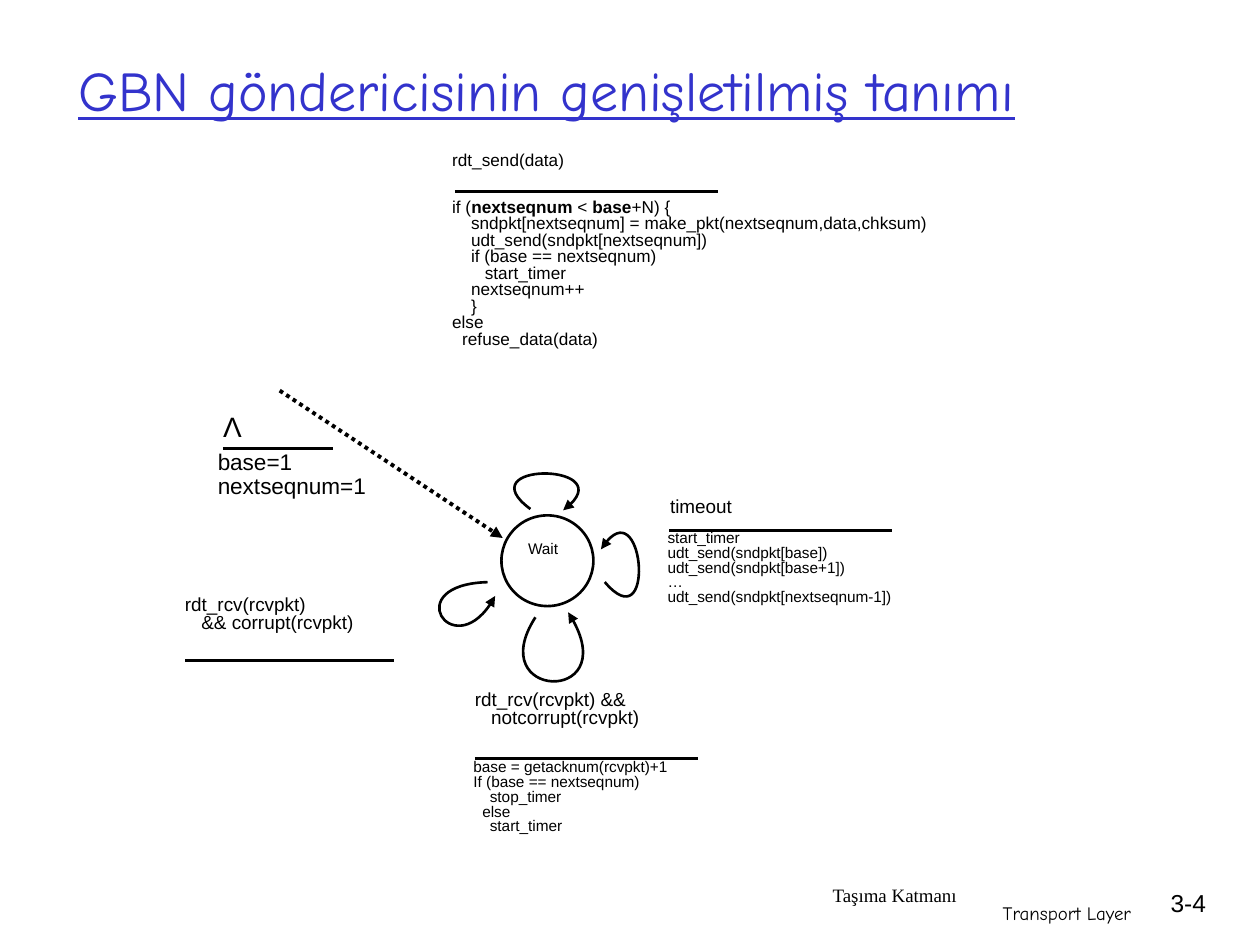
from dataclasses import dataclass

from lxml.etree import SubElement
from pptx import Presentation
from pptx.dml.color import RGBColor
from pptx.enum.dml import MSO_LINE
from pptx.enum.shapes import MSO_CONNECTOR, MSO_SHAPE
from pptx.enum.text import MSO_ANCHOR, MSO_AUTO_SIZE, PP_ALIGN
from pptx.oxml.ns import qn
from pptx.util import Inches, Pt


@dataclass(frozen=True)
class Theme:
    ink: RGBColor = RGBColor(0, 0, 0)
    paper: RGBColor = RGBColor(255, 255, 255)
    title: RGBColor = RGBColor(0x33, 0x33, 0xCC)
    sans: str = "Arial"
    hand: str = "Comic Neue"
    serif: str = "Times New Roman"
    title_size: float = 32
    symbol: float = 16
    page: float = 14
    start: float = 12.9
    event: float = 10.8
    code: float = 9.8
    small: float = 8.8
    thin: float = 1.5
    thick: float = 2.25


@dataclass(frozen=True)
class Line:
    text: str  # parts between asterisks are bold
    indent: float = 0  # inches
    font: str = ""


@dataclass(frozen=True)
class Label:
    box: tuple[float, float, float, float]
    lines: list[Line]
    size: float
    spacing: float = 0.8
    align: PP_ALIGN = PP_ALIGN.LEFT
    wrap: bool = True


@dataclass(frozen=True)
class Rule:
    start: tuple[float, float]
    length: float
    width: float


T = Theme()
STEP = 0.13

LABELS = [
    # Sending
    Label((3.49, 1.17, 2.55, 0.28), [Line("rdt_send(data)")], T.code),
    Label((3.49, 1.54, 6.04, 1.6), [
        Line("if (*nextseqnum* < *base*+N) {"),
        Line("sndpkt[nextseqnum] = make_pkt(nextseqnum,data,chksum)", 0.15),
        Line("udt_send(sndpkt[nextseqnum])", 0.15),
        Line("if (base == nextseqnum)", 0.15),
        Line("start_timer", 0.26),
        Line("nextseqnum++", 0.15),
        Line("}", 0.15),
        Line("else"),
        Line("refuse_data(data)", 0.08),
    ], T.code),
    # Initial transition
    Label((1.67, 3.2, 0.35, 0.37), [Line("Λ")], T.symbol, 1, PP_ALIGN.CENTER, False),
    Label((1.63, 3.53, 1.62, 0.55), [Line("base=1"), Line("nextseqnum=1")], T.start, 0.9),
    # Timeout
    Label((5.22, 3.91, 1.2, 0.3), [Line("timeout")], T.event),
    Label((5.2, 4.17, 3.04, 0.91), [
        Line("start_timer"),
        Line("udt_send(sndpkt[base])"),
        Line("udt_send(sndpkt[base+1])"),
        Line("…"),
        Line("udt_send(sndpkt[nextseqnum-1])"),
    ], T.small),
    # Corrupt packet
    Label((1.37, 4.69, 2.24, 0.49), [
        Line("rdt_rcv(rcvpkt)"), Line("&& corrupt(rcvpkt)", STEP)], T.event),
    # Good acknowledgement
    Label((3.67, 5.44, 3.1, 0.49), [
        Line("rdt_rcv(rcvpkt) &&"), Line("notcorrupt(rcvpkt)", STEP)], T.event),
    Label((3.66, 5.99, 4.03, 0.91), [
        Line("base = getacknum(rcvpkt)+1"),
        Line("If (base == nextseqnum)"),
        Line("stop_timer", STEP),
        Line("else", 0.07),
        Line("start_timer", STEP),
    ], T.small),
    # State name
    Label((3.87, 4.26, 0.88, 0.26), [Line("Wait")], T.small, align=PP_ALIGN.CENTER),
    # Footer and page number
    Label((5.92, 7, 3.17, 0.5), [
        Line("Taşıma Katmanı", 0.59, T.serif),
        Line("Transport Layer", 1.94, T.hand),
    ], T.event),
    Label((8.93, 7, 0.74, 0.5), [Line("3-4")], T.page, 1, PP_ALIGN.RIGHT),
]

RULES = [
    Rule((3.61, 1.52), 2.09, T.thick),
    Rule((1.77, 3.56), 0.87, T.thin),
    Rule((5.31, 4.21), 1.77, T.thin),
    Rule((1.47, 5.24), 1.66, T.thin),
    Rule((3.77, 6.02), 1.77, T.thick),
]

# Self-transitions: start, two control points, end
LOOPS = [
    [(4.21, 4.04), (3.71, 3.67), (4.98, 3.67), (4.47, 4.05)],
    [(4.8, 4.62), (5.2, 5.09), (5.11, 3.83), (4.77, 4.36)],
    [(4.25, 4.9), (3.83, 5.55), (4.99, 5.6), (4.51, 4.86)],
    [(3.87, 4.62), (3.17, 4.64), (3.62, 5.31), (3.93, 4.73)],
]


def style_line(sp, width: float, arrow: bool = False) -> None:
    sp.line.color.rgb = T.ink
    sp.line.width = Pt(width)
    if arrow:
        SubElement(sp.line._get_or_add_ln(), qn("a:tailEnd"), type="triangle")


def add_label(shapes, label: Label) -> None:
    tf = shapes.add_textbox(*map(Inches, label.box)).text_frame
    tf.word_wrap = label.wrap
    for i, line in enumerate(label.lines):
        p = tf.add_paragraph() if i else tf.paragraphs[0]
        p.alignment = label.align
        p.line_spacing = label.spacing
        if line.indent:
            p._p.get_or_add_pPr().set("marL", str(Inches(line.indent)))
        for j, part in enumerate(line.text.split("*")):
            r = p.add_run()
            r.text = part
            r.font.name = line.font or T.sans
            r.font.size = Pt(label.size)
            r.font.color.rgb = T.ink
            r.font.bold = j % 2 == 1


def add_line(shapes, start: tuple[float, float], end: tuple[float, float],
             width: float, arrow: bool = False):
    cxn = shapes.add_connector(MSO_CONNECTOR.STRAIGHT, *map(Inches, start + end))
    style_line(cxn, width, arrow)
    SubElement(cxn._element.spPr, qn("a:effectLst"))
    return cxn


def add_loop(shapes, points: list[tuple[float, float]]) -> None:
    pts = [(Inches(x), Inches(y)) for x, y in points]
    fb = shapes.build_freeform(*pts[0])
    fb.add_line_segments(pts[1:], close=False)
    sp = fb.convert_to_shape()
    # Turn the three segments into one Bézier curve
    outline = sp._element.spPr.find(".//" + qn("a:path"))
    segments = outline.findall(qn("a:lnTo"))
    curve = SubElement(outline, qn("a:cubicBezTo"))
    for seg in segments:
        curve.append(seg[0])
        outline.remove(seg)
    sp.fill.background()
    sp.shadow.inherit = False
    style_line(sp, T.thin, arrow=True)


def add_title(s, text: str) -> None:
    title = s.shapes.title
    title.left, title.top, title.width, title.height = map(Inches, (0.52, 0.32, 8.5, 0.77))
    tf = title.text_frame
    tf.text = text
    tf.auto_size = MSO_AUTO_SIZE.NONE
    tf.vertical_anchor = MSO_ANCHOR.MIDDLE
    p = tf.paragraphs[0]
    p.alignment = PP_ALIGN.LEFT
    font = p.runs[0].font
    font.name, font.size, font.underline = T.hand, Pt(T.title_size), True
    font.color.rgb = T.title


def main() -> None:
    prs = Presentation()
    prs.slide_width, prs.slide_height = Inches(10), Inches(7.5)
    s = prs.slides.add_slide(prs.slide_layouts[5])
    add_title(s, "GBN göndericisinin genişletilmiş tanımı")

    # Waiting state and its transitions
    state = s.shapes.add_shape(MSO_SHAPE.OVAL, *map(Inches, (3.98, 4.09, 0.73, 0.72)))
    state.fill.solid()
    state.fill.fore_color.rgb = T.paper
    state.shadow.inherit = False
    style_line(state, T.thin)
    entry = add_line(s.shapes, (2.22, 3.1), (3.99, 4.27), T.thick, arrow=True)
    entry.line.dash_style = MSO_LINE.ROUND_DOT
    for loop in LOOPS:
        add_loop(s.shapes, loop)

    # Rules between events and actions, then the text
    for rule in RULES:
        x, y = rule.start
        add_line(s.shapes, rule.start, (x + rule.length, y), rule.width)
    for label in LABELS:
        add_label(s.shapes, label)
    prs.save("out.pptx")


if __name__ == "__main__":
    main()
